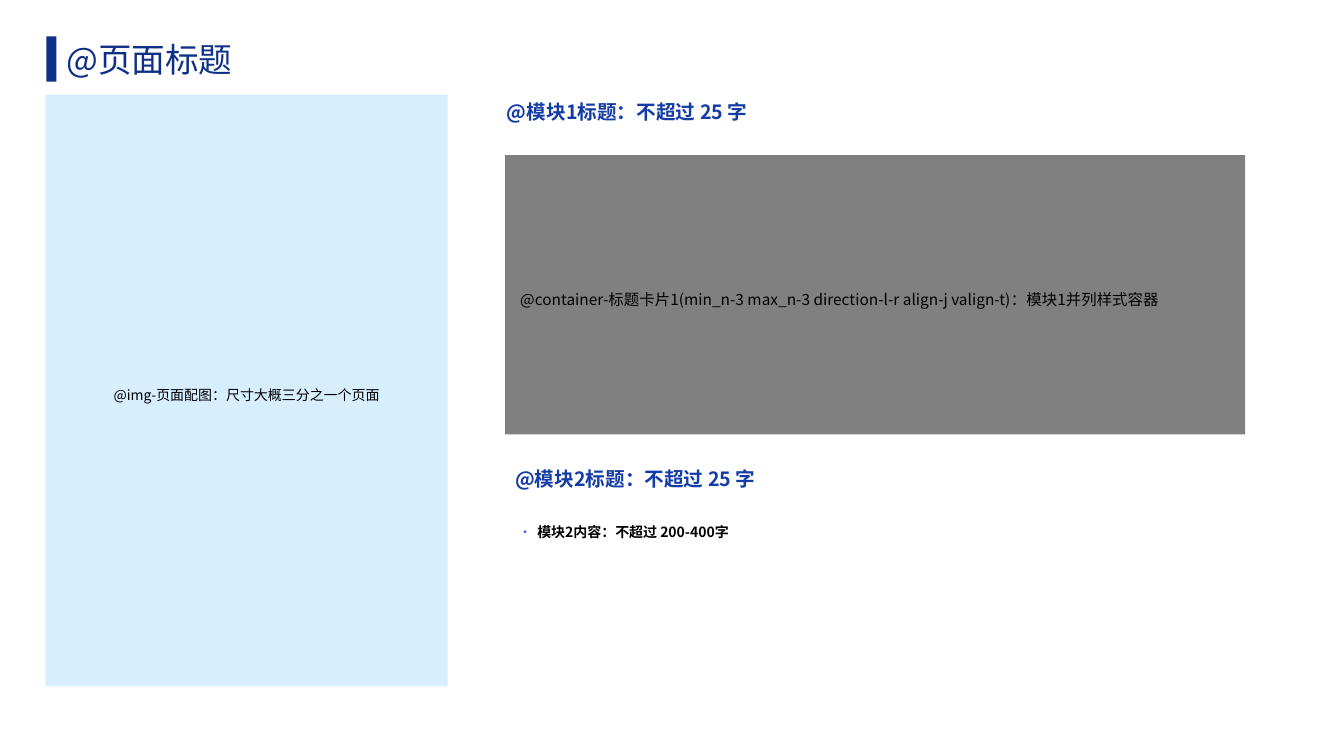
import pptx
import pptx.dml.color
import pptx.enum.shapes
import pptx.enum.text
import pptx.oxml
import pptx.oxml.ns
import pptx.util
from dataclasses import dataclass

PX = 9144  # 100 px to the inch


@dataclass(frozen=True)
class Theme:
    font: str = "Noto Sans CJK SC"
    title: str = "0F3087"
    heading: str = "133CA7"
    body: str = "000000"
    bullet: str = "4469FF"
    image_area: str = "D7EEFF"
    container: str = "808080"
    title_size: int = 24
    heading_size: int = 14
    container_size: int = 11
    body_size: int = 10


theme = Theme()
MIDDLE = pptx.enum.text.MSO_ANCHOR.MIDDLE
TOP = pptx.enum.text.MSO_ANCHOR.TOP
LEFT = pptx.enum.text.PP_ALIGN.LEFT
CENTER = pptx.enum.text.PP_ALIGN.CENTER


def add_block(box, fill):
    """Add a plain rectangle; box is left, top, width, height in px."""
    block = slide.shapes.add_shape(
        pptx.enum.shapes.MSO_SHAPE.RECTANGLE, *(n * PX for n in box))
    block.shadow.inherit = False
    block.fill.solid()
    block.fill.fore_color.rgb = pptx.dml.color.RGBColor.from_string(fill)
    block.line.fill.background()
    return block


def write(holder, text, size, color, bold=False, anchor=TOP, align=LEFT, spacing=1.0, wrap=True):
    """Write one run into the holder and return its paragraph."""
    frame = holder.text_frame
    frame.word_wrap = wrap
    frame.vertical_anchor = anchor
    paragraph = frame.paragraphs[0]
    paragraph.alignment = align
    paragraph.line_spacing = spacing
    run = paragraph.add_run()
    run.text = text
    run.font.size = pptx.util.Pt(size)
    run.font.bold = bold
    run.font.color.rgb = pptx.dml.color.RGBColor.from_string(color)
    run.font.name = theme.font
    east_asian = pptx.oxml.parse_xml(
        f'<a:ea {pptx.oxml.ns.nsdecls("a")} typeface="{theme.font}"/>')
    run.font.fill  # noqa: B018
    run.font._element.append(east_asian)
    return paragraph


presentation = pptx.Presentation()
presentation.slide_width = 1333 * PX
presentation.slide_height = 750 * PX
slide = presentation.slides.add_slide(presentation.slide_layouts[6])

# Page title
add_block((46, 36, 10, 45), theme.title)
page_title = slide.shapes.add_textbox(56 * PX, 28 * PX, 1222 * PX, 61 * PX)
write(page_title, "@页面标题", theme.title_size, theme.title, anchor=MIDDLE)

# Image area
image_area = add_block((45, 94, 399, 587), theme.image_area)
write(image_area, "@img-页面配图：尺寸大概三分之一个页面", theme.body_size, theme.body,
      anchor=MIDDLE, align=CENTER, spacing=1.5)

# Module headings
for left, top, width, height, heading in (
    (493, 94, 637, 53, "@模块1标题：不超过 25 字"),
    (501, 458, 285, 44, "@模块2标题：不超过 25 字"),
):
    module_heading = slide.shapes.add_textbox(left * PX, top * PX, width * PX, height * PX)
    write(module_heading, heading, theme.heading_size, theme.heading, bold=True, wrap=False)

# Module 1 container
container = add_block((501, 154, 734, 277), theme.container)
inset = 15 * PX
container.text_frame.margin_left = container.text_frame.margin_right = inset
container.text_frame.margin_top = container.text_frame.margin_bottom = inset
write(container,
      "@container-标题卡片1(min_n-3 max_n-3 direction-l-r align-j valign-t)：模块1并列样式容器",
      theme.container_size, theme.body, anchor=MIDDLE, spacing=1.5)

# Module 2 content
module_content = slide.shapes.add_textbox(504 * PX, 506 * PX, 722 * PX, 180 * PX)
content = write(module_content, "模块2内容：不超过 200-400字", theme.body_size, theme.body,
                bold=True, spacing=1.5)
properties = content._p.get_or_add_pPr()
properties.set("marL", str(19 * PX))
properties.set("indent", str(-19 * PX))
for bullet_part in (
    f'<a:buClr {pptx.oxml.ns.nsdecls("a")}><a:srgbClr val="{theme.bullet}"/></a:buClr>',
    f'<a:buFont {pptx.oxml.ns.nsdecls("a")} typeface="{theme.font}"/>',
    f'<a:buChar {pptx.oxml.ns.nsdecls("a")} char="•"/>',
):
    properties.append(pptx.oxml.parse_xml(bullet_part))

presentation.save("out.pptx")
